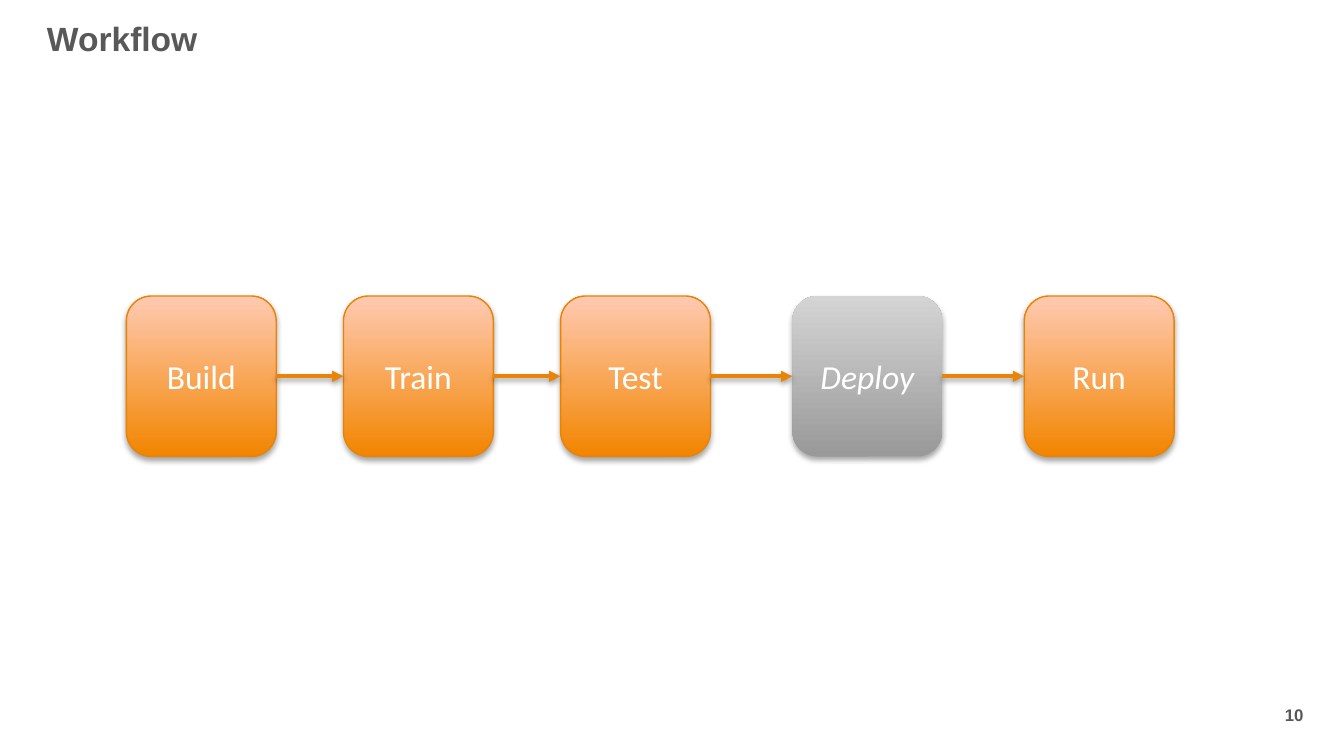
from dataclasses import dataclass

from lxml import etree
from pptx import Presentation
from pptx import util as u
from pptx.dml.color import RGBColor
from pptx.enum import shapes, text
from pptx.oxml import ns

WHITE = RGBColor(0xFF, 0xFF, 0xFF)
DARK_GREY = RGBColor(0x58, 0x58, 0x58)
ORANGE = RGBColor(0xF2, 0x85, 0x00)
PEACH = RGBColor(0xFF, 0xCA, 0xB2)
ORANGE_EDGE = RGBColor(0xEA, 0x82, 0x02)
ARROW_ORANGE = RGBColor(0xEA, 0x84, 0x08)
MID_GREY = RGBColor(0x99, 0x99, 0x99)
LIGHT_GREY = RGBColor(0xD4, 0xD4, 0xD4)

FIRST_LEFT, STEP_TOP = 67.7, 158.6
STEP_WIDTH, STEP_HEIGHT = 80.3, 86
RIGHT_SITE, LEFT_SITE = 3, 1


@dataclass(frozen=True)
class Step:
    label: str
    gap: float  # distance to the next step
    optional: bool = False


STEPS = [
    Step("Build", 36),
    Step("Train", 36),
    Step("Test", 43.9),
    Step("Deploy", 43.9, optional=True),
    Step("Run", 0),
]


def style_text(frame, content: str, font_name: str, size: float, color: RGBColor,
               align, bold: bool = False, italic: bool = False) -> None:
    frame.text = content
    para = frame.paragraphs[0]
    para.alignment = align
    font = para.runs[0].font
    font.name, font.size = font_name, u.Pt(size)
    font.bold, font.italic = bold, italic
    font.color.rgb = color


def add_label(page, content: str, left: float, top: float, width: float, height: float,
              size: float, inset: float, align) -> None:
    box = page.shapes.add_textbox(u.Pt(left), u.Pt(top), u.Pt(width), u.Pt(height))
    frame = box.text_frame
    frame.word_wrap = False
    frame.margin_left = frame.margin_right = u.Pt(inset)
    frame.margin_top = frame.margin_bottom = u.Pt(inset)
    style_text(frame, content, "Arial", size, DARK_GREY, align, bold=True)


def add_shadow(properties, distance: float, opacity: int) -> None:
    """Put a soft black shadow straight below a shape or connector."""
    effects = properties.find(ns.qn("a:effectLst"))
    if effects is None:
        effects = etree.SubElement(properties, ns.qn("a:effectLst"))
    shadow = etree.SubElement(effects, ns.qn("a:outerShdw"), blurRad=str(u.Pt(3.1)),
                              dist=str(u.Pt(distance)), dir="5400000", rotWithShape="0")
    color = etree.SubElement(shadow, ns.qn("a:srgbClr"), val="000000")
    etree.SubElement(color, ns.qn("a:alpha"), val=str(opacity * 1000))


def add_step(page, step: Step, left: float):
    box = page.shapes.add_shape(
        shapes.MSO_SHAPE.ROUNDED_RECTANGLE,
        u.Pt(left), u.Pt(STEP_TOP), u.Pt(STEP_WIDTH), u.Pt(STEP_HEIGHT))
    box.fill.gradient()
    box.fill.gradient_angle = 90
    colors = (MID_GREY, LIGHT_GREY) if step.optional else (ORANGE, PEACH)
    for stop, position, color in zip(box.fill.gradient_stops, (0, 1), colors):
        stop.position = position
        stop.color.rgb = color
    if step.optional:
        box.line.fill.background()
    else:
        box.line.color.rgb = ORANGE_EDGE
        box.line.width = u.Pt(0.75)
    box.shadow.inherit = False
    add_shadow(box.element.spPr, distance=1.8, opacity=35)
    box.text_frame.vertical_anchor = text.MSO_ANCHOR.MIDDLE
    style_text(box.text_frame, step.label, "Calibri", 18, WHITE,
               text.PP_ALIGN.CENTER, italic=step.optional)
    return box


def add_arrow(page, source, target) -> None:
    arrow = page.shapes.add_connector(shapes.MSO_CONNECTOR.STRAIGHT, 0, 0, 0, 0)
    arrow.begin_connect(source, RIGHT_SITE)
    arrow.end_connect(target, LEFT_SITE)
    arrow.line.color.rgb = ARROW_ORANGE
    arrow.line.width = u.Pt(2)
    properties = arrow.element.spPr
    etree.SubElement(properties.find(ns.qn("a:ln")), ns.qn("a:tailEnd"), type="triangle")
    add_shadow(properties, distance=1.6, opacity=38)


def main() -> None:
    deck = Presentation()
    deck.slide_width, deck.slide_height = u.Pt(720), u.Pt(405)
    page = deck.slides.add_slide(deck.slide_layouts[6])

    # Page number and title
    add_label(page, "10", 684.7, 374.4, 16.6, 16.6, 9, 3, text.PP_ALIGN.RIGHT)
    add_label(page, "Workflow", 25.2, 9.4, 224, 19.4, 18, 0, text.PP_ALIGN.LEFT)

    # Workflow steps, left to right
    boxes = []
    left = FIRST_LEFT
    for step in STEPS:
        boxes.append(add_step(page, step, left))
        left += STEP_WIDTH + step.gap

    # Arrows between neighbouring steps
    for source, target in zip(boxes, boxes[1:]):
        add_arrow(page, source, target)

    deck.save("out.pptx")


if __name__ == "__main__":
    main()
